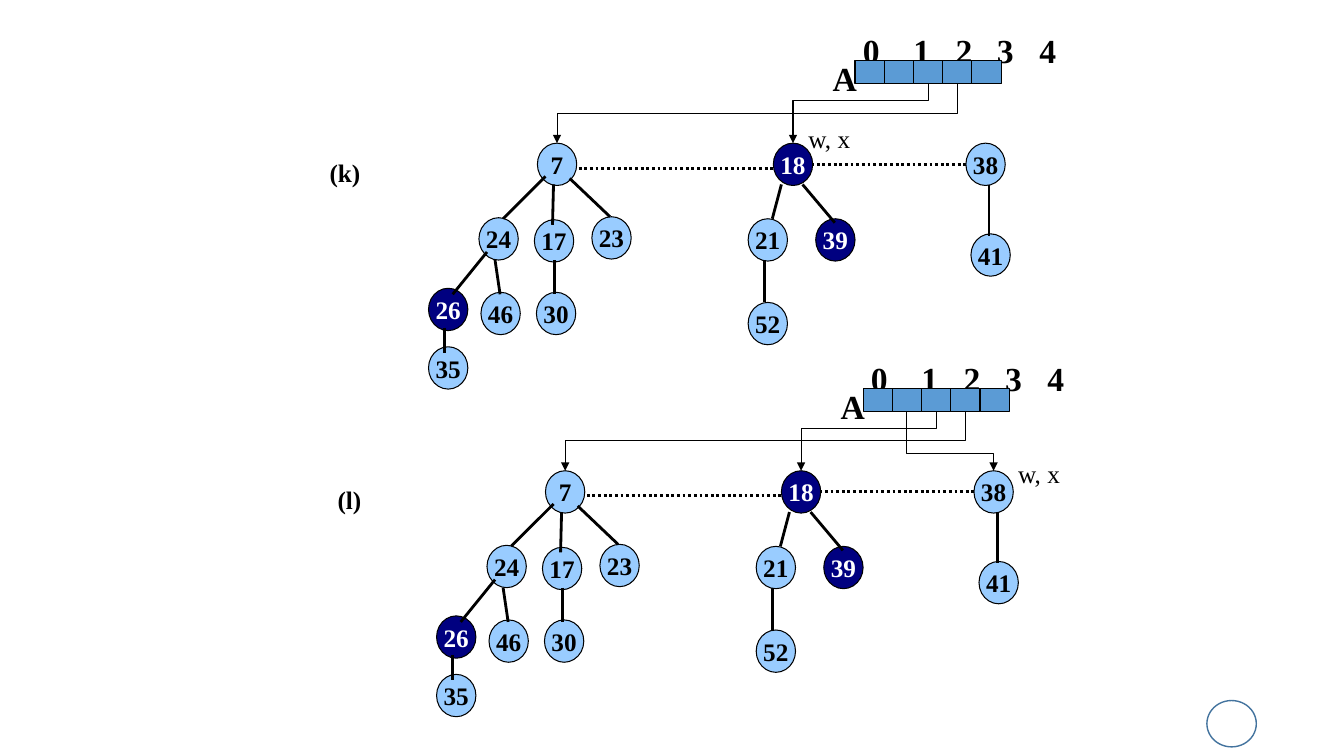
"""Build the slide showing two steps, (k) and (l), of a heap consolidation."""
from lxml import etree
from pptx import Presentation
from pptx import util as u
from pptx.dml.color import RGBColor
from pptx.enum import dml, shapes, text
from pptx.oxml import ns

FONT = "Times New Roman"
BLACK = RGBColor(0, 0, 0)
WHITE = RGBColor(0xFF, 0xFF, 0xFF)
LIGHT = RGBColor(0x99, 0xCC, 0xFF)
NAVY = RGBColor(0, 0, 0x80)
CELL_BLUE = RGBColor(0x5B, 0x9B, 0xD5)
RING_BLUE = RGBColor(0x43, 0x73, 0x9E)

NODE_W, NODE_H = 0.39, 0.42
CELL_W, CELL_H = 0.29, 0.23
ARRAY_X, ARRAY_Y = 8.48, 0.6
ROOT_Y = 1.42
INDICES = ["0", "1", "2", "3", "4"]
INDEX_TABS = [0.5, 0.92, 1.33, 1.75]

NODES = {
    "7": (5.33, 1.42), "18": (7.67, 1.42), "38": (9.58, 1.42),
    "24": (4.75, 2.16), "17": (5.3, 2.18), "23": (5.87, 2.15),
    "21": (7.42, 2.17), "39": (8.09, 2.17), "41": (9.63, 2.32),
    "26": (4.25, 2.86), "46": (4.77, 2.9), "30": (5.32, 2.9),
    "52": (7.42, 3.0), "35": (4.25, 3.44),
}
MARKED = {"18", "26", "39"}
ROOT_LINKS = [(5.74, 1.67, 7.74, 1.67), (7.71, 1.63, 9.58, 1.63)]
EDGES = [
    (5.41, 1.75, 4.99, 2.17), (5.49, 1.83, 5.48, 2.23), (5.65, 1.77, 6.05, 2.15),
    (4.83, 2.5, 4.49, 2.92), (4.91, 2.58, 4.96, 2.92), (5.5, 2.58, 5.5, 2.92),
    (4.41, 3.25, 4.41, 3.5), (7.75, 1.83, 7.66, 2.17), (7.96, 1.83, 8.28, 2.21),
    (7.58, 2.58, 7.58, 3.0), (9.81, 1.84, 9.81, 2.34),
]
TO_7, TO_18, TO_38 = (3, "7", 0.5), (2, "18", 0.286), (1, "38", 0.711)
PANELS = [
    {"label": "(k)", "label_w": 0.51, "offset": (0, 0),
     "wx": (7.92, 1.17), "pointers": [TO_7, TO_18]},
    {"label": "(l)", "label_w": 0.44, "offset": (0.08, 3.25),
     "wx": (9.92, 1.25), "pointers": [TO_7, TO_18, TO_38]},
]

prs = Presentation()
prs.slide_width, prs.slide_height = u.Inches(13.33), u.Inches(7.5)
s = prs.slides.add_slide(prs.slide_layouts[6])


def add_run(p, words, size, color=BLACK, bold=True):
    r = p.add_run()
    r.text = words
    r.font.name, r.font.size, r.font.bold = FONT, u.Pt(size), bold
    r.font.color.rgb = color


def add_label(x, y, w, h, words, size, bold=True, tabs=()):
    sp = s.shapes.add_textbox(*map(u.Inches, (x, y, w, h)))
    tf = sp.text_frame
    tf.word_wrap = bool(tabs)
    p = tf.paragraphs[0]
    if tabs:
        tab_list = etree.SubElement(p._p.get_or_add_pPr(), ns.qn("a:tabLst"))
        for pos in tabs:
            etree.SubElement(tab_list, ns.qn("a:tab"), pos=str(u.Inches(pos)), algn="l")
    add_run(p, words, size, bold=bold)


def add_box(kind, x, y, w, h, fill, line=BLACK, width=0.75):
    sp = s.shapes.add_shape(kind, *map(u.Inches, (x, y, w, h)))
    sp.shadow.inherit = False
    if fill is None:
        sp.fill.background()
    else:
        sp.fill.solid()
        sp.fill.fore_color.rgb = fill
    sp.line.color.rgb, sp.line.width = line, u.Pt(width)
    return sp


def add_node(x, y, key):
    marked = key in MARKED
    sp = add_box(shapes.MSO_SHAPE.OVAL, x, y, NODE_W, NODE_H, NAVY if marked else LIGHT)
    tf = sp.text_frame
    tf.word_wrap = False
    tf.vertical_anchor = text.MSO_ANCHOR.MIDDLE
    p = tf.paragraphs[0]
    p.alignment = text.PP_ALIGN.CENTER
    add_run(p, key, 18, WHITE if marked else BLACK)


def add_line(kind, x1, y1, x2, y2, width):
    c = s.shapes.add_connector(kind, *map(u.Inches, (x1, y1, x2, y2)))
    c.line.color.rgb, c.line.width = BLACK, u.Pt(width)
    etree.SubElement(c._element.spPr, ns.qn("a:effectLst"))
    return c


def add_pointer(x1, y1, x2, y2, bend):
    """Draw an elbow arrow that leaves downwards and turns at the given share."""
    w, h = y2 - y1, abs(x2 - x1)
    left, top = (x1 + x2 - w) / 2, (y1 + y2 - h) / 2
    rightward = x2 > x1
    start, end = (left + w, left) if rightward else (left, left + w)
    c = add_line(shapes.MSO_CONNECTOR.ELBOW, start, top, end, top + h, 0.75)
    sp_pr = c._element.spPr
    sp_pr.find(ns.qn("a:xfrm")).set("rot", "16200000" if rightward else "5400000")
    guides = sp_pr.find(ns.qn("a:prstGeom")).find(ns.qn("a:avLst"))
    etree.SubElement(guides, ns.qn("a:gd"), name="adj1", fmla=f"val {round(bend * 100000)}")
    etree.SubElement(sp_pr.find(ns.qn("a:ln")), ns.qn("a:tailEnd"), type="triangle")


def add_panel(label, label_w, offset, wx, pointers):
    dx, dy = offset
    straight = shapes.MSO_CONNECTOR.STRAIGHT
    add_label(8.46 + dx, 0.25 + dy, 2.14, 0.51, "\t".join(INDICES), 24, tabs=INDEX_TABS)
    add_label(3.17 + dx, 1.51 + dy, label_w, 0.4, label, 18)
    for i in range(len(INDICES)):
        add_box(shapes.MSO_SHAPE.RECTANGLE, ARRAY_X + i * CELL_W + dx, ARRAY_Y + dy,
                CELL_W, CELL_H, CELL_BLUE)
    add_label(8.16 + dx, 0.53 + dy, 0.45, 0.51, "A", 24)
    for x1, y1, x2, y2 in ROOT_LINKS:
        c = add_line(straight, x1 + dx, y1 + dy, x2 + dx, y2 + dy, 2)
        c.line.dash_style = dml.MSO_LINE.ROUND_DOT
    for key, (x, y) in NODES.items():
        add_node(x + dx, y + dy, key)
    for x1, y1, x2, y2 in EDGES:
        add_line(straight, x1 + dx, y1 + dy, x2 + dx, y2 + dy, 2)
    for cell, root, bend in pointers:
        add_pointer(ARRAY_X + (cell + 0.5) * CELL_W + dx, ARRAY_Y + CELL_H + dy,
                    NODES[root][0] + NODE_W / 2 + dx, ROOT_Y + dy, bend)
    add_label(wx[0] + dx, wx[1] + dy, 0.63, 0.4, "w, x", 18, bold=False)


add_box(shapes.MSO_SHAPE.OVAL, 11.97, 6.95, 0.49, 0.46, None, RING_BLUE, 1)
for panel in PANELS:
    add_panel(**panel)

prs.save("out.pptx")
